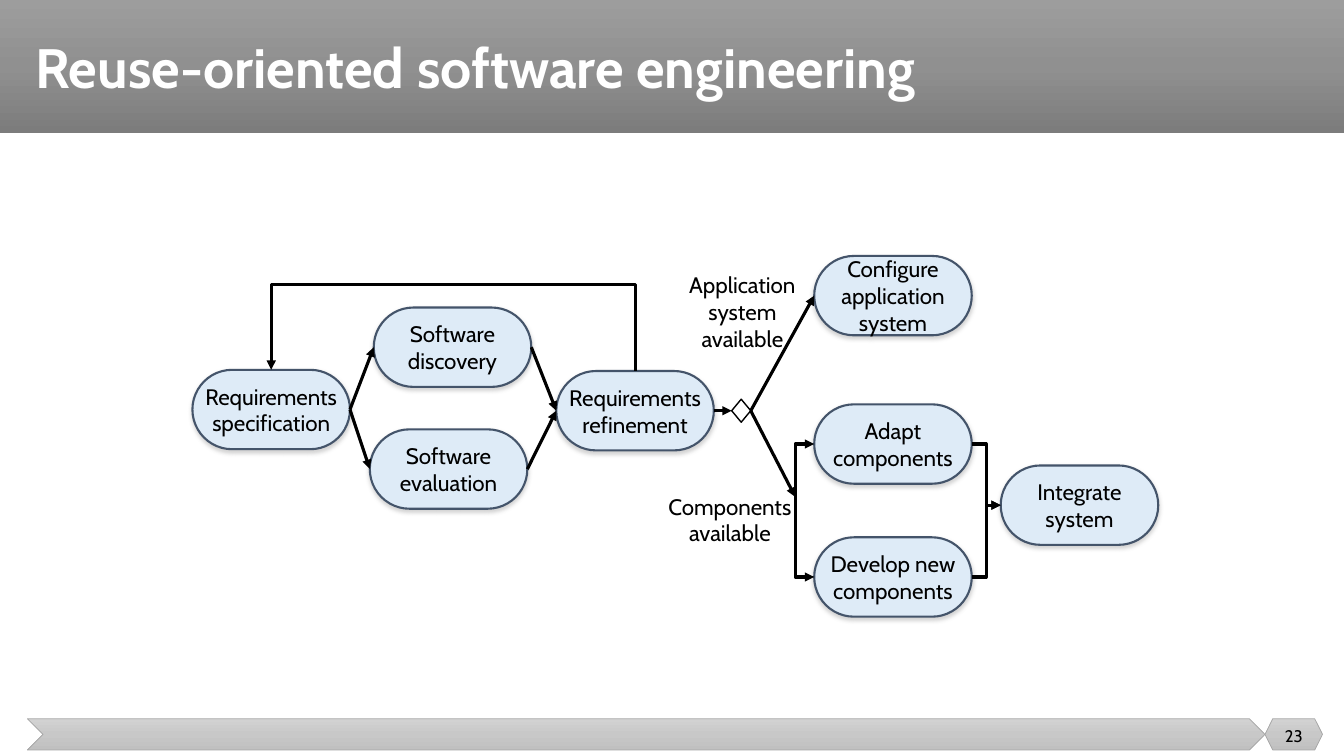
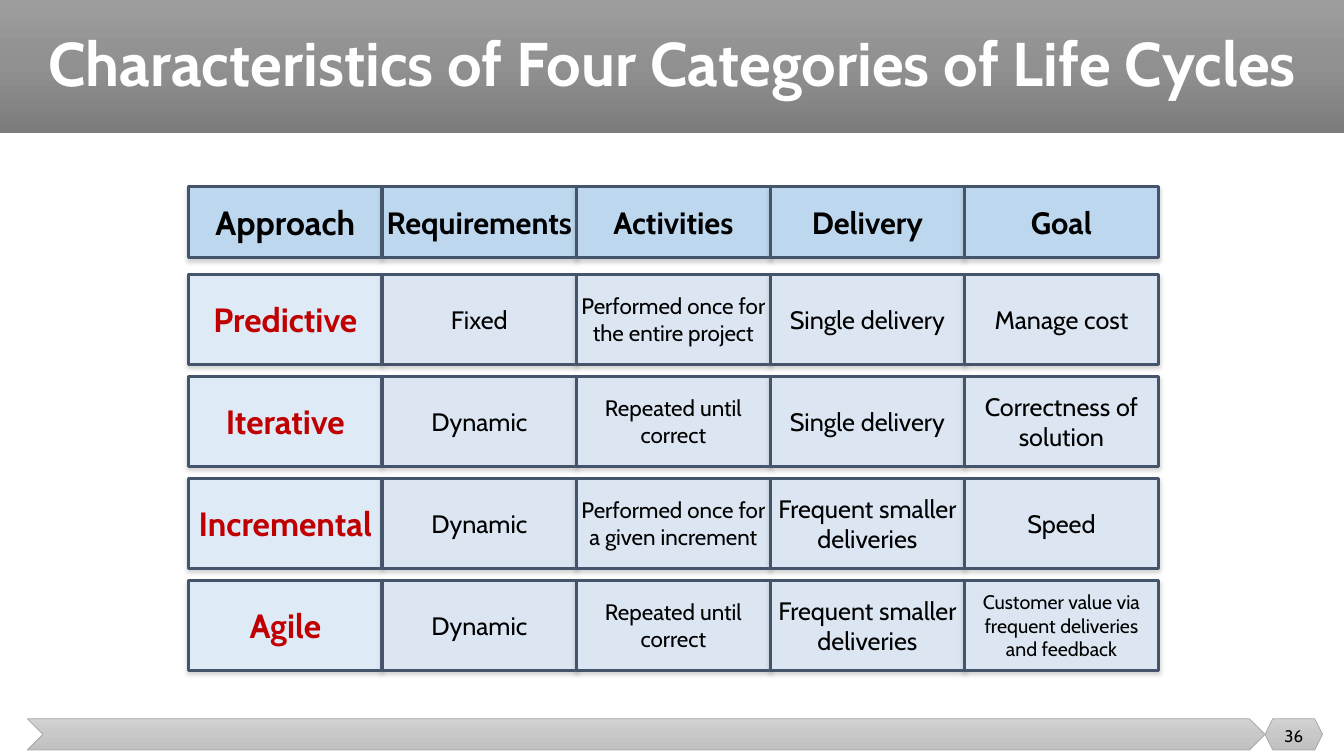
from copy import deepcopy

from lxml.etree import SubElement
from pptx import Presentation
from pptx.dml.color import RGBColor
from pptx.enum.shapes import MSO_CONNECTOR, MSO_SHAPE
from pptx.enum.text import MSO_ANCHOR, MSO_AUTO_SIZE, PP_ALIGN
from pptx.oxml.ns import qn
from pptx.shapes.autoshape import Shape
from pptx.util import Cm, Pt

TOP, LEFT, RIGHT = 0, 1, 3


def color(hex_string):
    return RGBColor.from_string(hex_string)


class Deck:
    FONT = "Cabin"
    BLACK, WHITE, RED = "000000", "FFFFFF", "C00000"
    OUTLINE, PALE, CELL, HEADER = "44546A", "DEEBF7", "DCE6F2", "BDD7EE"
    BAND = ("9D9D9D", "909090", "7C7C7C")
    FOOTER, FOOTER_LINE = ("D2D2D2", "C8C8C8", "C0C0C0"), "A5A5A5"

    def __init__(self):
        self.presentation = Presentation()
        self.presentation.slide_width = Cm(33.87)
        self.presentation.slide_height = Cm(19.05)
        self.slide = None

    def new_slide(self, title, number, size, box):
        layout = self.presentation.slide_layouts[6]
        self.slide = self.presentation.slides.add_slide(layout)
        self.gradient_shape(MSO_SHAPE.RECTANGLE, (0, 0, 33.87, 3.35), self.BAND)
        for outline, left, width in ((MSO_SHAPE.CHEVRON, 0.69, 31.19),
                                     (MSO_SHAPE.HEXAGON, 31.88, 1.45)):
            self.gradient_shape(outline, (left, 18.11, width, 0.79),
                                self.FOOTER, self.FOOTER_LINE)
        heading = self.text(title, box, size, self.WHITE, True, PP_ALIGN.LEFT)
        heading.text_frame.paragraphs[0].line_spacing = 0.9
        self.text(str(number), (31.88, 18.03, 1.45, 1.02), 12)

    def shape(self, outline, box, line=None, weight=1):
        shape = self.slide.shapes.add_shape(outline, *map(Cm, box))
        shape.shadow.inherit = False
        if line:
            shape.line.color.rgb = color(line)
            shape.line.width = Pt(weight)
        else:
            shape.line.fill.background()
        return shape

    def gradient_shape(self, outline, box, shades, line=None):
        shape = self.shape(outline, box, line, 0.5)
        shape.fill.gradient()
        shape.fill.gradient_angle = 270
        stops = shape._element.spPr.find(qn("a:gradFill")).find(qn("a:gsLst"))
        stops.insert(1, deepcopy(stops[0]))
        for stop, shade, position in zip(shape.fill.gradient_stops, shades, (0, 0.5, 1)):
            stop.color.rgb = color(shade)
            stop.position = position

    def set_text(self, shape, text, size, ink, bold, align):
        paragraph = shape.text_frame.paragraphs[0]
        paragraph.text = text
        paragraph.alignment = align
        font = paragraph.font
        font.name, font.size, font.bold = self.FONT, Pt(size), bold
        font.color.rgb = color(ink)

    def text(self, text, box, size, ink=BLACK, bold=False, align=PP_ALIGN.CENTER):
        holder = self.slide.shapes.add_textbox(*map(Cm, box))
        holder.text_frame.word_wrap = True
        holder.text_frame.vertical_anchor = MSO_ANCHOR.MIDDLE
        self.set_text(holder, text, size, ink, bold, align)
        return holder

    def label(self, text, box):
        frame = self.text(text, box, 16).text_frame
        frame.vertical_anchor = MSO_ANCHOR.TOP
        frame.word_wrap = False
        frame.auto_size = MSO_AUTO_SIZE.SHAPE_TO_FIT_TEXT

    def panel(self, outline, text, box, fill, weight, size,
              ink=BLACK, bold=False, wrap=True):
        panel = self.shape(outline, box, self.OUTLINE, weight)
        panel.fill.solid()
        panel.fill.fore_color.rgb = color(fill)
        effects = panel._element.spPr.find(qn("a:effectLst"))
        shadow = SubElement(effects, qn("a:outerShdw"), blurRad="39370",
                            dist="22860", dir="5400000", rotWithShape="0")
        tint = SubElement(shadow, qn("a:srgbClr"), val="808080")
        SubElement(tint, qn("a:alpha"), val="35000")
        frame = panel.text_frame
        frame.margin_left = frame.margin_right = frame.margin_top = frame.margin_bottom = 0
        frame.vertical_anchor = MSO_ANCHOR.MIDDLE
        frame.word_wrap = wrap
        self.set_text(panel, text, size, ink, bold, PP_ALIGN.CENTER)
        return panel

    def step(self, text, left, top):
        step = self.panel(MSO_SHAPE.ROUNDED_RECTANGLE, text, (left, top, 3.97, 2),
                          self.PALE, 1.5, 16, wrap=False)
        step.adjustments[0] = 0.5
        return step

    def decision(self, box):
        decision = self.shape(MSO_SHAPE.DIAMOND, box, self.BLACK)
        decision.fill.background()
        return decision

    def arrow(self, start, end, kind=MSO_CONNECTOR.STRAIGHT):
        start_glued, end_glued = (isinstance(place[0], Shape) for place in (start, end))
        begin_point = (0, 0) if start_glued else map(Cm, start)
        end_point = (0, 0) if end_glued else map(Cm, end)
        arrow = self.slide.shapes.add_connector(kind, *begin_point, *end_point)
        if start_glued:
            arrow.begin_connect(*start)
        if end_glued:
            arrow.end_connect(*end)
        arrow.line.color.rgb = color(self.BLACK)
        arrow.line.width = Pt(2.25)
        SubElement(arrow.get_or_add_ln(), qn("a:tailEnd"), type="triangle")
        SubElement(arrow._element.spPr, qn("a:effectLst"))
        return arrow

    def turned_arrow(self, start, end, preset, turn, flips, rise=None):
        arrow = self.arrow(start, end, MSO_CONNECTOR.ELBOW)
        middle_x = (arrow.begin_x + arrow.end_x) // 2
        middle_y = (arrow.begin_y + arrow.end_y) // 2
        arrow.width, arrow.height = arrow.height, arrow.width
        arrow.left = middle_x - arrow.width // 2
        arrow.top = middle_y - arrow.height // 2
        properties = arrow._element.spPr
        frame = properties.find(qn("a:xfrm"))
        for flip in ("flipH", "flipV"):
            frame.set(flip, str(int(flip in flips)))
        frame.set("rot", str(turn * 60000))
        geometry = properties.find(qn("a:prstGeom"))
        geometry.set("prst", preset)
        if rise:
            SubElement(geometry.find(qn("a:avLst")), qn("a:gd"), name="adj1",
                       fmla=f"val {round(Cm(rise) / arrow.width * 100000)}")


def reuse_slide(deck):
    deck.new_slide("Reuse-oriented software engineering", 23, 39.6, (0.64, 0, 24.97, 3.56))
    specification = deck.step("Requirements\nspecification", 4.85, 9.32)
    evaluation = deck.step("Software\nevaluation", 9.32, 10.82)
    discovery = deck.step("Software\ndiscovery", 9.42, 7.75)
    refinement = deck.step("Requirements\nrefinement", 14.02, 9.35)
    configure = deck.step("Configure\napplication\nsystem", 20.52, 6.45)
    adapt = deck.step("Adapt\ncomponents", 20.52, 10.19)
    develop = deck.step("Develop new\ncomponents", 20.52, 13.54)
    integrate = deck.step("Integrate\nsystem", 25.22, 11.73)
    choice = deck.decision((18.44, 10.06, 0.48, 0.58))
    junction = (20.04, 12.52)

    deck.turned_arrow((refinement, TOP), (specification, TOP),
                      "bentConnector3", 270, ("flipV",), 2.18)
    for source, target in ((specification, discovery), (specification, evaluation),
                           (discovery, refinement), (evaluation, refinement),
                           (refinement, choice), (choice, configure)):
        deck.arrow((source, RIGHT), (target, LEFT))
    deck.arrow((choice, RIGHT), junction)
    deck.turned_arrow(junction, (adapt, LEFT), "bentConnector2", 90, ("flipH", "flipV"))
    deck.turned_arrow(junction, (develop, LEFT), "bentConnector2", 270, ("flipH",))
    for source in (adapt, develop):
        deck.arrow((source, RIGHT), (integrate, LEFT), MSO_CONNECTOR.ELBOW)

    deck.label("Application\nsystem\navailable", (17.02, 6.71, 3.38, 2.31))
    deck.label("Components\navailable", (16.59, 12.29, 3.61, 1.63))


def life_cycle_slide(deck):
    deck.new_slide("Characteristics of Four Categories of Life Cycles", 36, 44,
                   (0.97, 0, 32.36, 3.35))
    headers = ("Approach", "Requirements", "Activities", "Delivery", "Goal")
    approaches = (
        ("Predictive", "Fixed", "Performed once for\nthe entire project",
         "Single delivery", "Manage cost"),
        ("Iterative", "Dynamic", "Repeated until\ncorrect",
         "Single delivery", "Correctness of\nsolution"),
        ("Incremental", "Dynamic", "Performed once for\na given increment",
         "Frequent smaller deliveries", "Speed"),
        ("Agile", "Dynamic", "Repeated until\ncorrect", "Frequent smaller deliveries",
         "Customer value via frequent deliveries\nand feedback"),
    )
    sizes = (24, 18, 16, 18, 18)
    long_text, long_size = 40, 14

    def cell(text, column, top, height, fill, size, ink=deck.BLACK, bold=False):
        deck.panel(MSO_SHAPE.RECTANGLE, text, (4.75 + 4.89 * column, top, 4.88, height),
                   fill, 2.25, size, ink, bold)

    for column, header in enumerate(headers):
        cell(header, column, 4.7, 1.8, deck.HEADER, 22 if column else 24, bold=True)
    for row, (approach, *traits) in enumerate(approaches):
        top = 6.92 + 2.57 * row
        cell(approach, 0, top, 2.26, deck.PALE, sizes[0], deck.RED, True)
        for column, trait in enumerate(traits, 1):
            size = long_size if len(trait) > long_text else sizes[column]
            cell(trait, column, top, 2.26, deck.CELL, size)


def main():
    deck = Deck()
    reuse_slide(deck)
    life_cycle_slide(deck)
    deck.presentation.save("out.pptx")


if __name__ == "__main__":
    main()
